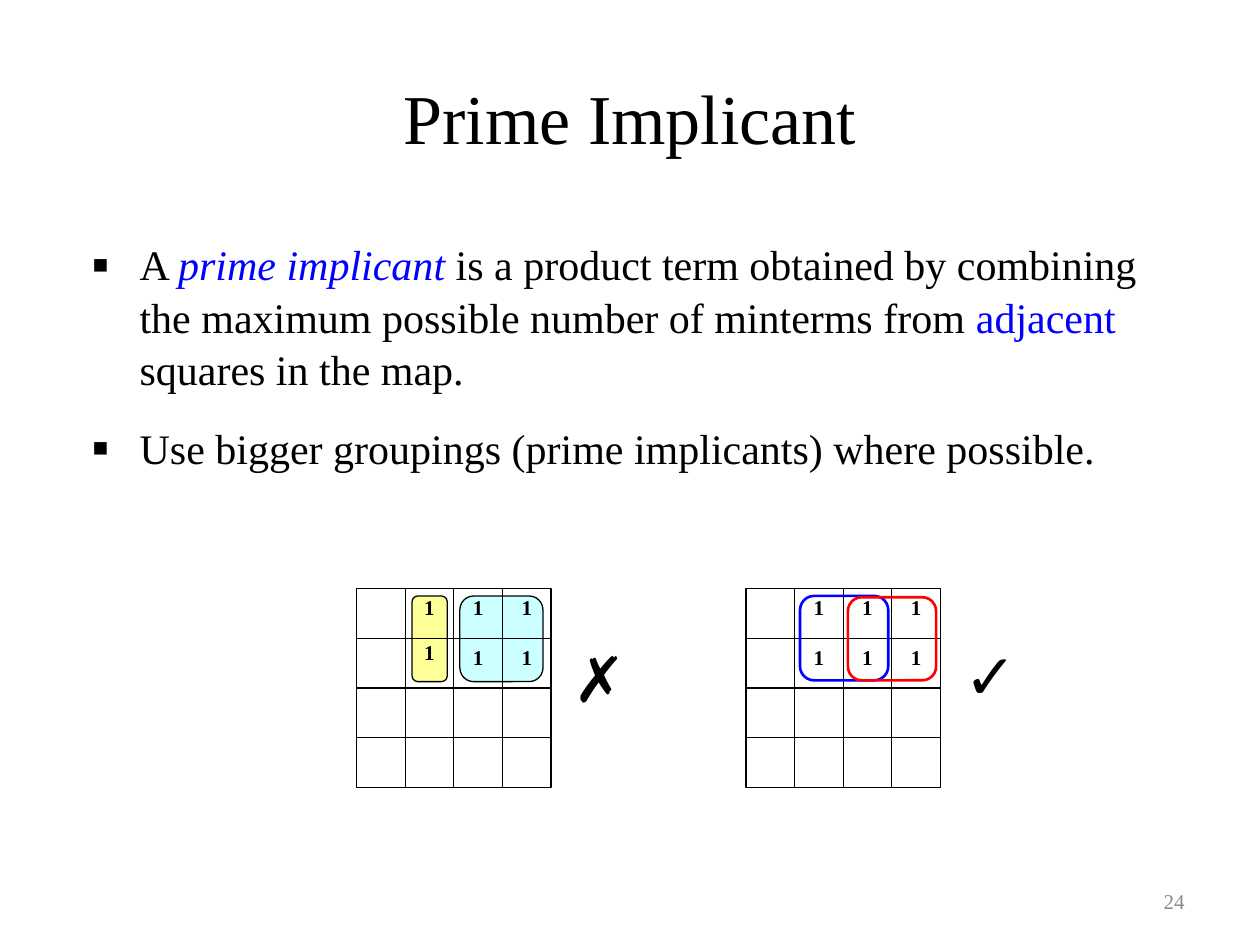
"""Build a slide that explains prime implicants with two Karnaugh maps."""
from lxml import etree
from pptx import Presentation
from pptx.dml.color import RGBColor
from pptx.enum.shapes import MSO_CONNECTOR, MSO_SHAPE
from pptx.enum.text import MSO_ANCHOR, PP_ALIGN
from pptx.oxml.ns import qn
from pptx.util import Inches, Pt

LEFT, CENTER, RIGHT = PP_ALIGN.LEFT, PP_ALIGN.CENTER, PP_ALIGN.RIGHT
TOP, MIDDLE = MSO_ANCHOR.TOP, MSO_ANCHOR.MIDDLE
RECT, ROUND = MSO_SHAPE.RECTANGLE, MSO_SHAPE.ROUNDED_RECTANGLE
STRAIGHT = MSO_CONNECTOR.STRAIGHT

COLORS = {
    "black": "000000",
    "blue": "0000FF",
    "red": "FF0000",
    "cyan": "CCFFFF",
    "yellow": "FFFF99",
    "gray": "898989",
}
SERIF, SANS = "Times New Roman", "Arial"
MAP_TOP, SIZE = 4.67, 4
CELL_W, CELL_H = 0.386, 0.395
BULLETS = [
    [("A ", "black", False), ("prime implicant", "blue", True),
     (" is a product term obtained by combining the maximum possible "
      "number of minterms from ", "black", False),
     ("adjacent", "blue", False), (" squares in the map.", "black", False)],
    [("Use bigger groupings (prime implicants) where possible.",
      "black", False)],
]


def color(name):
    return RGBColor.from_string(COLORS[name])


def style(font, size, shade="black", face=SERIF, bold=False):
    font.size, font.name, font.bold = Pt(size), face, bold
    font.color.rgb = color(shade)


def add_box(slide, box, anchor=TOP):
    frame = slide.shapes.add_textbox(*map(Inches, box)).text_frame
    frame.word_wrap = True
    frame.vertical_anchor = anchor
    return frame


def add_text(slide, text, box, size, align=LEFT, anchor=TOP, **look):
    para = add_box(slide, box, anchor).paragraphs[0]
    para.text = text
    para.alignment = align
    style(para.runs[0].font, size, **look)


def add_bullet(para):
    props = para._p.get_or_add_pPr()
    props.set("marL", str(Inches(0.38)))
    props.set("indent", str(Inches(-0.38)))
    tint = etree.SubElement(props, qn("a:buClr"))
    etree.SubElement(tint, qn("a:srgbClr"), val=COLORS["black"])
    etree.SubElement(props, qn("a:buSzPct"), val="120000")
    etree.SubElement(props, qn("a:buFont"), typeface=SANS)
    etree.SubElement(props, qn("a:buChar"), char="▪")


def add_body(slide):
    frame = add_box(slide, (0.63, 1.83, 8.87, 2.43))
    for row, parts in enumerate(BULLETS):
        para = frame.add_paragraph() if row else frame.paragraphs[0]
        add_bullet(para)
        para.line_spacing = 1.04
        para.space_before = Pt(15 if row else 0)
        for text, shade, slant in parts:
            run = para.add_run()
            run.text = text
            style(run.font, 24, shade)
            run.font.italic = slant


def add_shape(slide, kind, box, fill=None, line="black", width=0.75):
    shape = slide.shapes.add_shape(kind, *map(Inches, box))
    shape.shadow.inherit = False
    if fill:
        shape.fill.solid()
        shape.fill.fore_color.rgb = color(fill)
    else:
        shape.fill.background()
    shape.line.color.rgb = color(line)
    shape.line.width = Pt(width)


def add_line(slide, *ends):
    line = slide.shapes.add_connector(STRAIGHT, *map(Inches, ends))
    line.line.color.rgb = color("black")
    line.line.width = Pt(0.75)
    etree.SubElement(line._element.spPr, qn("a:effectLst"))


def add_map(slide, left, lift=0):
    """Draw a grid with ones in its top right six cells."""
    wide, high = SIZE * CELL_W, SIZE * CELL_H
    add_shape(slide, RECT, (left, MAP_TOP, wide, high))
    for step in range(1, SIZE):
        x, y = left + step * CELL_W, MAP_TOP + step * CELL_H
        add_line(slide, left, y, left + wide, y)
        add_line(slide, x, MAP_TOP, x, MAP_TOP + high)
    for row in range(2):
        for col in range(1, SIZE):
            shift = lift if (row, col) == (1, 1) else 0
            box = (left + col * CELL_W, MAP_TOP + row * CELL_H - shift,
                   CELL_W, 0.4)
            add_text(slide, "1", box, 12, CENTER, bold=True)


def main():
    deck = Presentation()
    deck.slide_width, deck.slide_height = Inches(10), Inches(7.5)
    slide = deck.slides.add_slide(deck.slide_layouts[6])
    add_text(slide, "Prime Implicant", (0.5, 0.3, 9, 1.25), 40, CENTER, MIDDLE)
    add_body(slide)
    add_text(slide, "24", (7.17, 6.95, 2.33, 0.4), 12, RIGHT, MIDDLE,
             shade="gray")
    add_shape(slide, ROUND, (3.65, 4.73, 0.66, 0.68), fill="cyan")
    add_shape(slide, ROUND, (3.27, 4.73, 0.28, 0.68), fill="yellow")
    add_map(slide, 2.83, lift=0.04)
    add_text(slide, "✗", (4.45, 5.03, 0.77, 0.92), 36, face=SANS)
    add_map(slide, 5.92)
    add_shape(slide, ROUND, (6.35, 4.73, 0.7, 0.67), line="blue", width=1.5)
    add_shape(slide, ROUND, (6.73, 4.74, 0.7, 0.66), line="red", width=1.5)
    add_text(slide, "✓", (7.56, 5, 0.77, 0.92), 36, face=SANS)
    deck.save("out.pptx")


if __name__ == "__main__":
    main()
